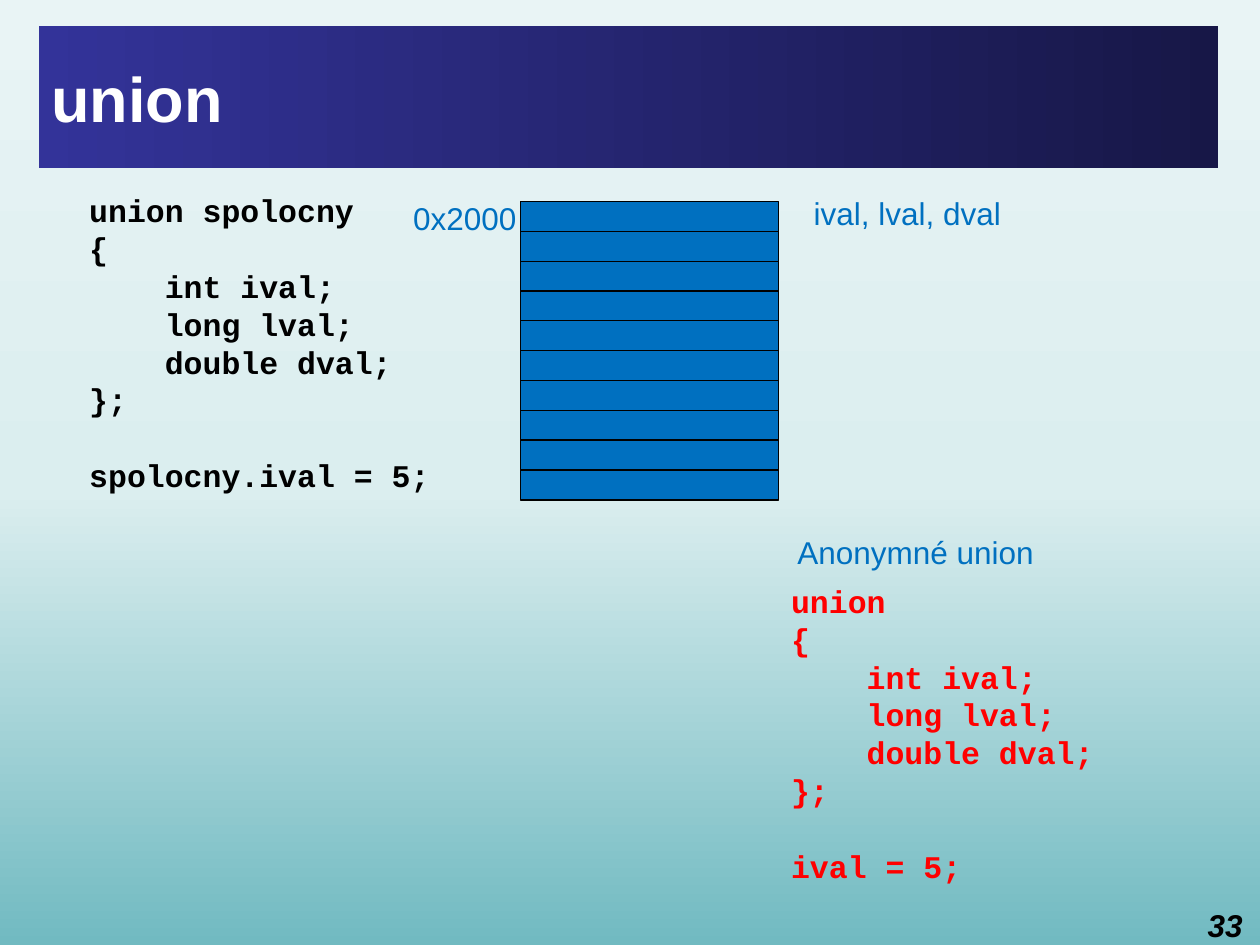
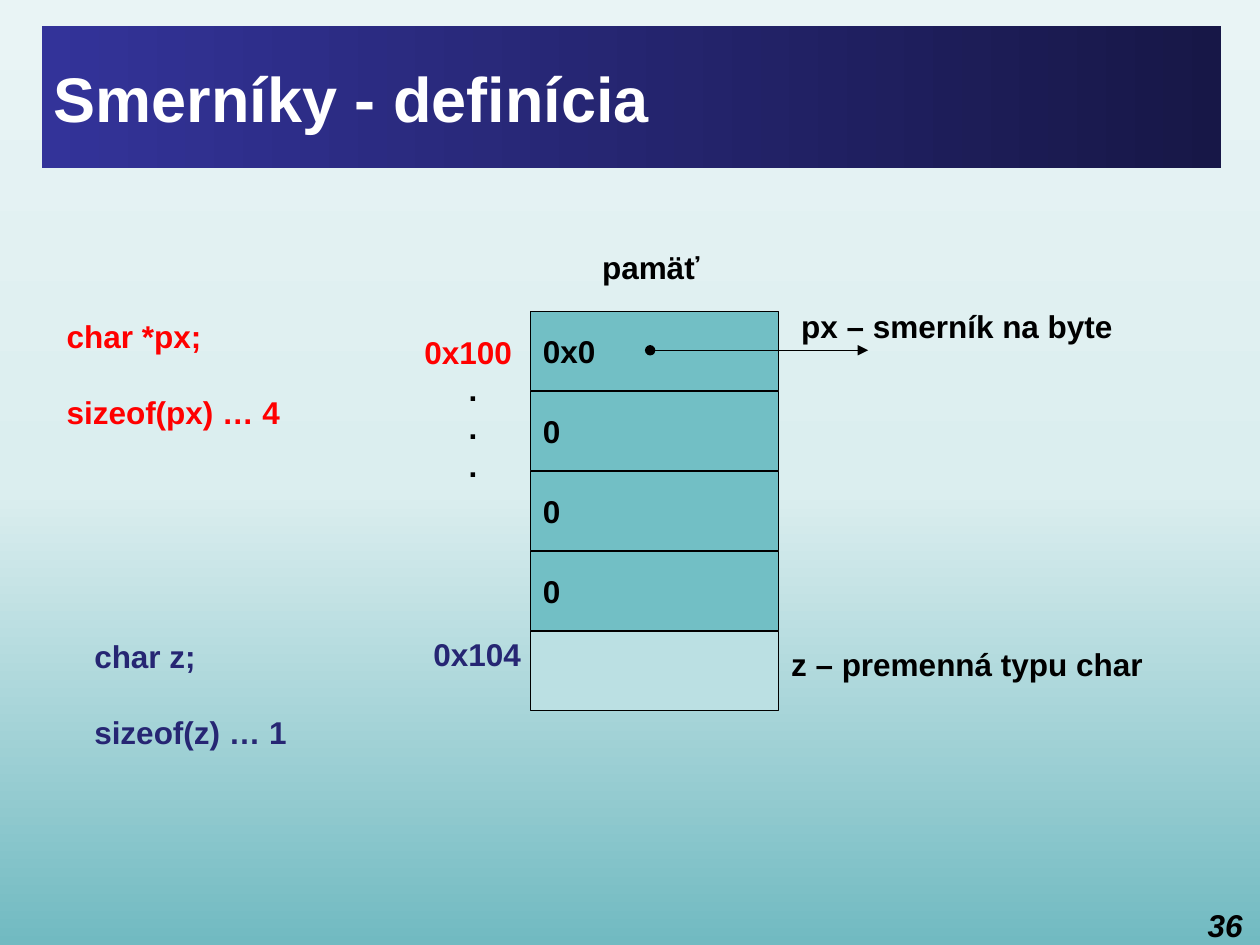
"""Build two lecture slides on unions and pointers in C."""
from copy import deepcopy

from lxml import etree
from pptx import Presentation
from pptx.dml.color import RGBColor
from pptx.enum.shapes import MSO_CONNECTOR, MSO_SHAPE
from pptx.enum.text import MSO_ANCHOR, PP_ALIGN
from pptx.oxml.ns import qn
from pptx.util import Inches, Pt

RECTANGLE = MSO_SHAPE.RECTANGLE
STRAIGHT = MSO_CONNECTOR.STRAIGHT
TOP, MIDDLE = MSO_ANCHOR.TOP, MSO_ANCHOR.MIDDLE
LEFT, RIGHT = PP_ALIGN.LEFT, PP_ALIGN.RIGHT


class Theme:
    black = "000000"
    white = "FFFFFF"
    red = "FF0000"
    blue = "0070C0"
    navy = "262673"
    teal = "72BFC5"
    pale = "BBE0E3"
    background = [(0, "71BAC1"), (0.48, "DBEEEF"), (1, "E9F4F5")]
    band = [(0, "333399"), (1, "171747")]
    line_height = 21.6
    outline = Pt(0.75)
    title = {"name": "Arial", "size": Pt(36), "bold": True}
    number = {"name": "Arial", "size": Pt(18), "bold": True, "italic": True}
    code = {"name": "Courier New", "size": Pt(18), "bold": True}
    label = {"name": "Arial", "size": Pt(18), "bold": False}
    strong = {"name": "Arial", "size": Pt(18), "bold": True}


def add_text(slide, box, lines, font, color, fill=None, anchor=TOP, align=LEFT, wrap=True):
    place = [Inches(length) for length in box]
    if fill:
        shape = slide.shapes.add_shape(RECTANGLE, *place)
        shape.shadow.inherit = False
        shape.fill.solid()
        shape.fill.fore_color.rgb = RGBColor.from_string(fill)
        shape.line.width = Theme.outline
        shape.line.color.rgb = RGBColor.from_string(Theme.black)
    else:
        shape = slide.shapes.add_textbox(*place)
    frame = shape.text_frame
    frame.word_wrap = wrap
    frame.vertical_anchor = anchor
    paragraph, gap = frame.paragraphs[0], 0
    for index, line in enumerate(lines):
        if not line:
            gap += Theme.line_height
            continue
        if index:
            paragraph = frame.add_paragraph()
        paragraph.text = line
        paragraph.alignment = align
        if font is not Theme.title:
            paragraph.line_spacing = Pt(Theme.line_height)
        if gap:
            paragraph.space_before = Pt(gap)
        gap = 0
        for name, value in font.items():
            setattr(paragraph.font, name, value)
        paragraph.font.color.rgb = RGBColor.from_string(color)
    return shape


def set_gradient(fill, stops, angle):
    fill.gradient()
    fill.gradient_angle = angle
    for stop, (position, color) in zip(fill.gradient_stops, stops):
        stop.position = position
        stop.color.rgb = RGBColor.from_string(color)


deck = Presentation()
deck.slide_width, deck.slide_height = Inches(10), Inches(7.5)
blank = deck.slide_layouts[6]

slides = []
for title, number, band_left in [("union", "33", 0.31), ("Smerníky - definícia", "36", 0.33)]:
    slide = deck.slides.add_slide(blank)
    backdrop = slide.background.fill
    set_gradient(backdrop, Theme.background, 90)
    stop_list = slide.element.find(".//" + qn("a:gsLst"))
    stop_list.append(deepcopy(stop_list[-1]))
    set_gradient(backdrop, Theme.background, 90)
    band = add_text(slide, (band_left, 0.21, 9.36, 1.12), [title], Theme.title, Theme.white,
                    fill=Theme.navy, anchor=MIDDLE)
    set_gradient(band.fill, Theme.band, 0)
    band.line.fill.background()
    add_text(slide, (9.43, 7.14, 0.53, 0.31), [number], Theme.number, Theme.black, align=RIGHT)
    slides.append(slide)
union_slide, pointer_slide = slides

members = ["{", "    int ival;", "    long lval;", "    double dval;", "};", ""]
add_text(union_slide, (0.61, 1.47, 2.91, 2.52),
         ["union spolocny", *members, "spolocny.ival = 5;"], Theme.code, Theme.black)
add_text(union_slide, (6.18, 4.57, 2.91, 2.52),
         ["union", *members, "ival = 5;"], Theme.code, Theme.red)

byte_count, byte_step = 10, 2.13 / 9
for byte in range(byte_count):
    add_text(union_slide, (4.13, 1.6 + byte * byte_step, 2.05, 0.24), [],
             Theme.label, Theme.black, fill=Theme.blue)

for caption, box in [
    ("ival, lval, dval", (6.36, 1.49, 2.5, 0.4)),
    ("0x2000", (3.18, 1.53, 1.11, 0.4)),
    ("Anonymné union", (6.23, 4.18, 2.14, 0.4)),
]:
    add_text(union_slide, box, [caption], Theme.label, Theme.blue)

cell_step = 0.635
for row, value in enumerate(["0x0", "0", "0", "0", ""]):
    add_text(pointer_slide, (4.21, 2.47 + row * cell_step, 1.97, 0.63), [value], Theme.strong,
             Theme.black, fill=Theme.teal if value else Theme.pale, anchor=MIDDLE)

pointer = pointer_slide.shapes.add_connector(
    STRAIGHT, Inches(5.16), Inches(2.78), Inches(6.89), Inches(2.78))
pointer.line.width = Theme.outline
pointer.line.color.rgb = RGBColor.from_string(Theme.black)
pointer_line = pointer.line._get_or_add_ln()
for end, kind in [("a:headEnd", "oval"), ("a:tailEnd", "triangle")]:
    etree.SubElement(pointer_line, qn(end), type=kind)
etree.SubElement(pointer.element.spPr, qn("a:effectLst"))

for lines, box, color in [
    (["px – smerník na byte"], (6.26, 2.39, 2.7, 0.4), Theme.black),
    (["z – premenná typu char"], (6.18, 5.07, 3.02, 0.4), Theme.black),
    (["pamäť"], (4.68, 1.92, 0.98, 0.4), Theme.black),
    (["char *px;", "", "sizeof(px) … 4"], (0.43, 2.47, 1.91, 1.01), Theme.red),
    (["char z;", "", "sizeof(z) … 1"], (0.65, 5.01, 1.74, 1.01), Theme.navy),
]:
    add_text(pointer_slide, box, lines, Theme.strong, color, wrap=False)

addresses = add_text(pointer_slide, (3.27, 2.59, 1.02, 3.13),
                     ["0x100", ".", ".", ".", "", "", "", "", "0x104"],
                     Theme.strong, Theme.black)
indents = [0, 0.35, 0.35, 0.35, 0.07]
colors = [Theme.red, Theme.black, Theme.black, Theme.black, Theme.navy]
for address, indent, color in zip(addresses.text_frame.paragraphs, indents, colors):
    address._p.get_or_add_pPr().set("marL", str(Inches(indent)))
    address.font.color.rgb = RGBColor.from_string(color)

deck.save("out.pptx")
